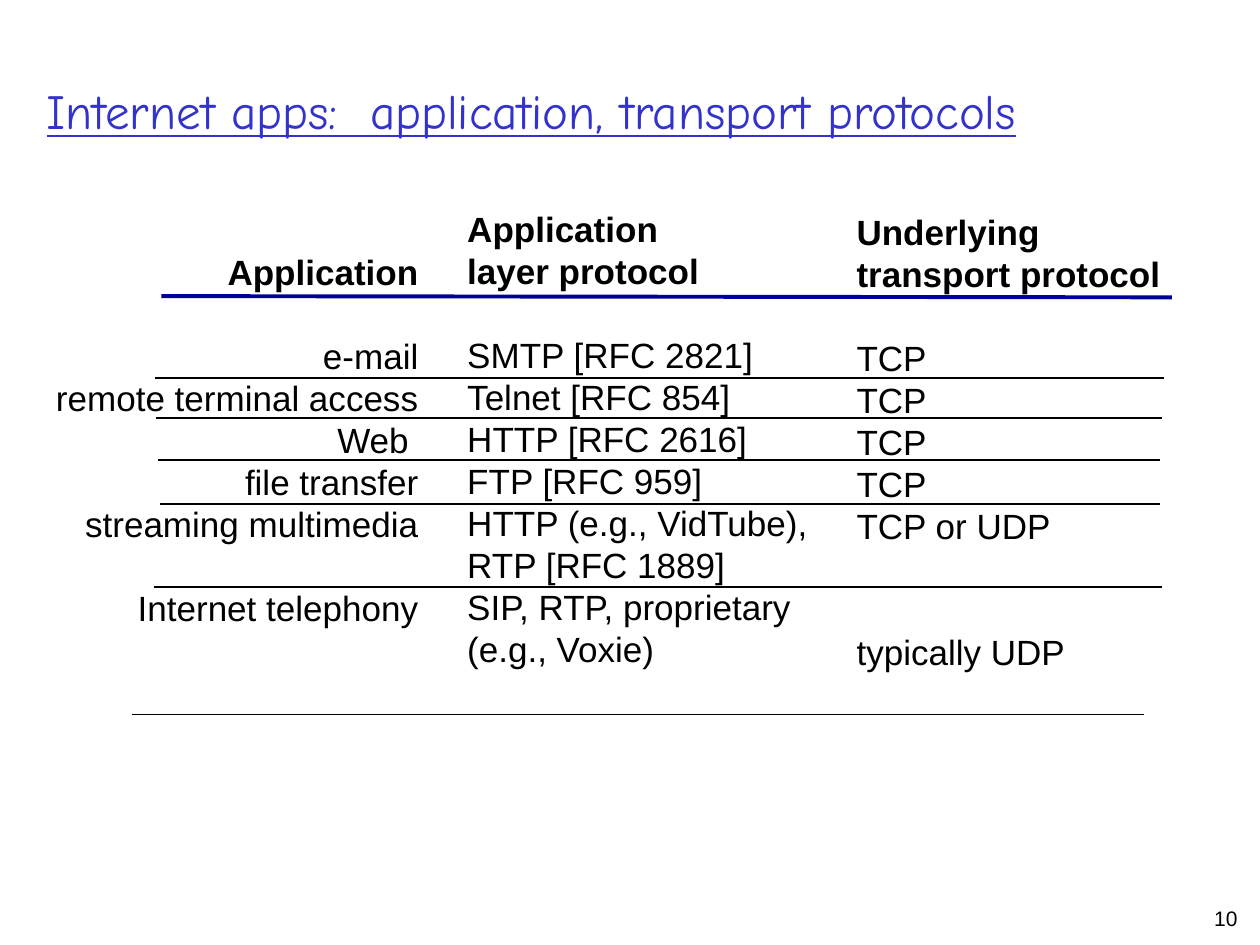
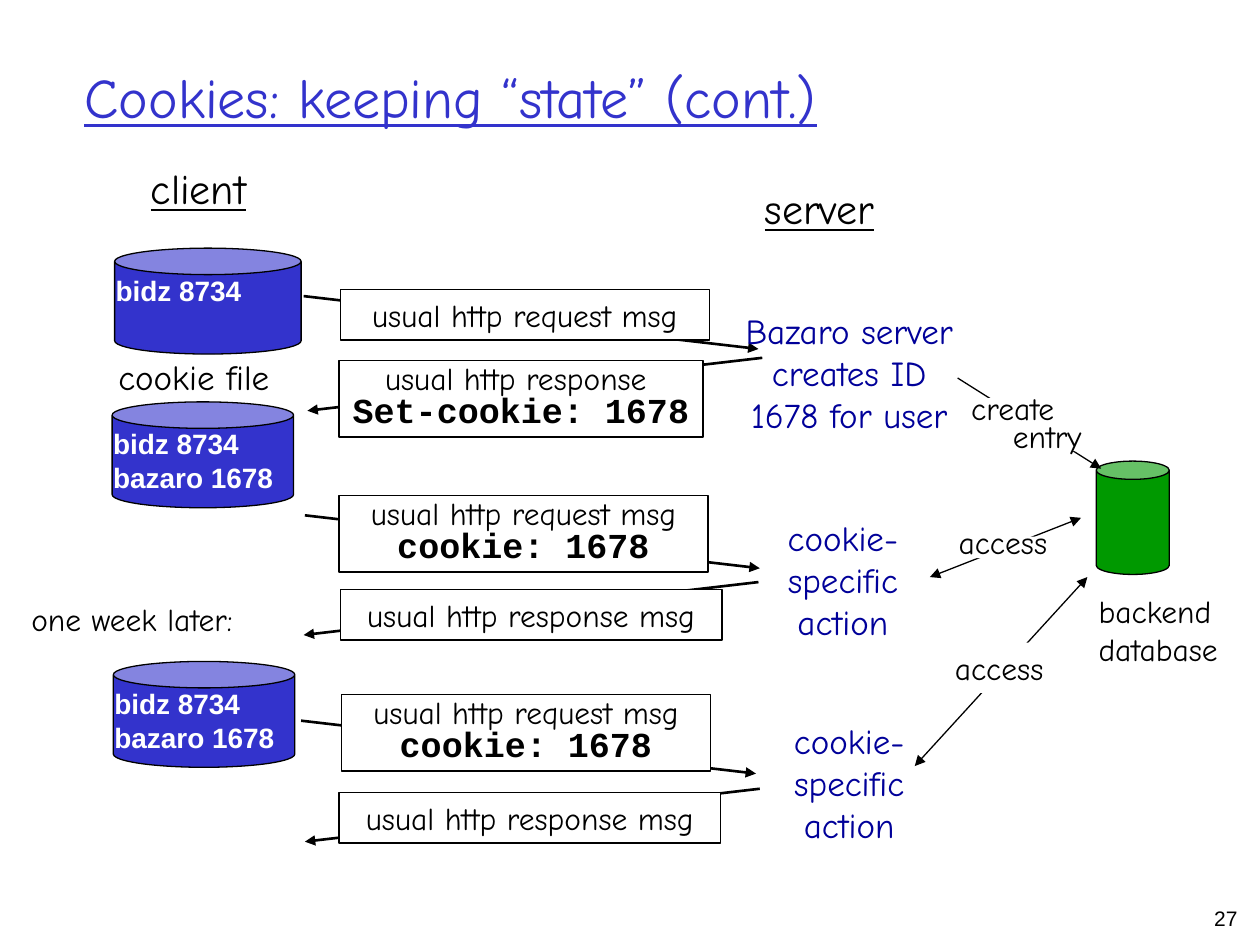
from collections import namedtuple
from dataclasses import dataclass

from lxml.etree import SubElement
from pptx import Presentation
from pptx.dml.color import RGBColor
from pptx.enum.shapes import MSO_CONNECTOR, MSO_SHAPE
from pptx.enum.text import MSO_ANCHOR, MSO_AUTO_SIZE, PP_ALIGN
from pptx.oxml.ns import qn
from pptx.util import Inches, Pt

Box = namedtuple("Box", "left top width height")
Line = namedtuple("Line", "text gap indent style", defaults=(0, 0, {}))


@dataclass(frozen=True)
class Theme:
    # Colours
    title: str = "3333CC"
    navy: str = "000099"
    green: str = "009900"
    black: str = "000000"
    white: str = "FFFFFF"
    # Fonts
    hand: str = "Comic Neue"
    sans: str = "Arial"
    mono: str = "Courier New"
    # Type sizes
    heading: int = 24
    body: int = 20
    note: int = 18
    jar: int = 16
    number: int = 12
    leading: float = 1.2


THEME = Theme()
BOLD = {"bold": True}
CODE = {"font": THEME.mono, "size": THEME.body, "bold": True}
LANE = (3.61, 0.42)  # span and drop of one message arrow


# Shared helpers

def place(box):
    return [Inches(length) for length in box]


def write(frame, lines, size=THEME.note, font=THEME.hand, color=THEME.black, bold=False,
          underline=False, align=PP_ALIGN.LEFT, spacing=1.0, wrap=True, anchor=MSO_ANCHOR.TOP):
    """Fill a frame; a line's gap counts empty lines above it."""
    frame.word_wrap = wrap
    frame.auto_size = MSO_AUTO_SIZE.NONE
    frame.vertical_anchor = anchor
    for index, line in enumerate(lines):
        line = Line(line) if isinstance(line, str) else line
        style = {"size": size, "font": font, "bold": bold, **line.style}
        height = style["size"] * THEME.leading
        para = frame.paragraphs[0] if index == 0 else frame.add_paragraph()
        para.alignment = align
        para.line_spacing = Pt(height * spacing)
        para.space_before = Pt(height * line.gap)
        if line.indent:
            para._p.get_or_add_pPr().set("marL", str(Inches(line.indent)))
        span = para.add_run()
        span.text = line.text
        span.font.size = Pt(style["size"])
        span.font.name = style["font"]
        span.font.bold = style["bold"]
        span.font.underline = underline
        span.font.color.rgb = RGBColor.from_string(color)


def add_text(slide, box, lines, **style):
    write(slide.shapes.add_textbox(*place(box)).text_frame, lines, **style)


def add_block(slide, box, kind=MSO_SHAPE.RECTANGLE, fill=THEME.white, outlined=True):
    block = slide.shapes.add_shape(kind, *place(box))
    block.shadow.inherit = False
    block.fill.solid()
    block.fill.fore_color.rgb = RGBColor.from_string(fill)
    if outlined:
        block.line.color.rgb = RGBColor.from_string(THEME.black)
        block.line.width = Pt(0.75)
    else:
        block.line.fill.background()
    return block


def add_line(slide, start, end, color=THEME.black, width=1.0, heads=()):
    line = slide.shapes.add_connector(MSO_CONNECTOR.STRAIGHT, *place(start + end))
    line.line.color.rgb = RGBColor.from_string(color)
    line.line.width = Pt(width)
    properties = line._element.spPr
    for head in heads:
        SubElement(properties.find(qn("a:ln")), qn(f"a:{head}"), type="triangle")
    SubElement(properties, qn("a:effectLst"))


def add_page(deck, title, box, size, number):
    page = deck.slides.add_slide(deck.slide_layouts[5])
    heading = page.shapes.title
    heading.left, heading.top, heading.width, heading.height = place(box)
    write(heading.text_frame, [title], size=size, color=THEME.title, underline=True,
          anchor=MSO_ANCHOR.MIDDLE)
    add_text(page, Box(8.33, 7.14, 1.59, 0.31), [number], size=THEME.number,
             font=THEME.sans, align=PP_ALIGN.RIGHT)
    return page


# Protocol slide

def build_protocols(deck):
    page = add_page(deck, "Internet apps:  application, transport protocols",
                    Box(0.27, 0.25, 9.57, 1.25), 28, "10")

    # Columns
    columns = [
        (Box(0.22, 1.94, 3.2, 3.44), PP_ALIGN.RIGHT, [
            Line("Application", style=BOLD), Line("e-mail", gap=1),
            "remote terminal access", "Web ", "file transfer", "streaming multimedia",
            Line("Internet telephony", gap=1)]),
        (Box(3.61, 1.6, 3.09, 3.77), PP_ALIGN.LEFT, [
            Line("Application", style=BOLD), Line("layer protocol", style=BOLD),
            Line("SMTP [RFC 2821]", gap=1), "Telnet [RFC 854]", "HTTP [RFC 2616]",
            "FTP [RFC 959]", "HTTP (e.g., VidTube), ", "RTP [RFC 1889]",
            "SIP, RTP, proprietary", "(e.g., Voxie)"]),
        (Box(6.7, 1.62, 2.87, 3.77), PP_ALIGN.LEFT, [
            Line("Underlying", style=BOLD), Line("transport protocol", style=BOLD),
            Line("TCP", gap=1), "TCP", "TCP", "TCP", "TCP or UDP",
            Line("typically UDP", gap=2)]),
    ]
    for box, align, lines in columns:
        add_text(page, box, lines, size=THEME.body, font=THEME.sans, align=align)

    # Rules under the header and the rows
    add_line(page, (1.28, 2.35), (9.3, 2.36), color=THEME.navy, width=2.25)
    for left, right, top in [(1.23, 9.24, 3), (1.24, 9.22, 3.32), (1.25, 9.21, 3.65),
                             (1.27, 9.21, 4), (1.22, 9.22, 4.66), (1.05, 9.08, 5.67)]:
        add_line(page, (left, top), (right, top))


# Cookie slide

def add_jar(slide, box, entries):
    """Cookie file: a can with its entries."""
    add_block(slide, box, MSO_SHAPE.CAN, THEME.title)
    add_text(slide, Box(box.left - 0.09, box.top + 0.15, 1.74, 0.64), entries,
             size=THEME.jar, font=THEME.sans, color=THEME.white, bold=True)


def add_message(slide, lane, card, lines, reply=False):
    """Sloping arrow across the lane, with a card placed relative to it."""
    left, right = lane.left, lane.left + lane.width
    start, end = (right, left) if reply else (left, right)
    add_line(slide, (start, lane.top), (end, lane.top + lane.height),
             width=1.5, heads=["tailEnd"])
    block = add_block(slide, Box(left + card.left, lane.top + card.top, card.width, card.height))
    write(block.text_frame, lines, align=PP_ALIGN.CENTER, spacing=0.8 if len(lines) > 1 else 1)


def add_access(slide, start, end, mask, box, lines, heads, **style):
    """Database arrow, broken by a white mask that carries a label."""
    add_line(slide, start, end, width=0.75, heads=heads)
    add_block(slide, mask, outlined=False)
    add_text(slide, box, lines, **style)


def build_cookies(deck):
    page = add_page(deck, "Cookies: keeping “state” (cont.)",
                    Box(0.57, 0.14, 8.5, 1.25), 32, "27")

    # Client and server headings
    for box, name in [(Box(1.1, 1.24, 0.95, 0.5), "client"),
                      (Box(5.97, 1.4, 1.07, 0.5), "server")]:
        add_text(page, box, [name], size=THEME.heading, underline=True,
                 align=PP_ALIGN.CENTER, wrap=False)

    # Messages: lane corner, card, lines, reply
    request, response = "usual http request msg", "usual http response msg"
    cookie = Line("cookie: 1678", style=CODE)
    set_cookie = Line("Set-cookie: 1678 ", style=CODE)
    messages = [
        (2.41, 2.35, Box(0.29, -0.05, 2.93, 0.4), [request], False),
        (2.44, 2.84, Box(0.25, 0.02, 2.89, 0.61), ["usual http response ", set_cookie], True),
        (2.42, 4.09, Box(0.27, -0.16, 2.93, 0.61), [request, cookie], False),
        (2.41, 4.62, Box(0.29, 0.06, 3.03, 0.4), [response], True),
        (2.39, 5.72, Box(0.32, -0.21, 2.93, 0.61), [request, cookie], False),
        (2.42, 6.26, Box(0.27, 0.03, 3.03, 0.4), [response], True),
    ]
    for left, top, card, lines, reply in messages:
        add_message(page, Box(left, top, *LANE), card, lines, reply)

    # Cookie files on the client
    entries = ["bidz 8734", "bazaro 1678"]
    add_jar(page, Box(0.91, 1.97, 1.48, 0.84), entries[:1])
    for left, top in [(0.89, 3.19), (0.9, 5.25)]:
        add_jar(page, Box(left, top, 1.44, 0.84), entries)
    add_text(page, Box(0.84, 2.77, 1.95, 0.44), ["cookie file"], size=THEME.body)
    add_text(page, Box(0.15, 4.71, 1.81, 0.4), ["one week later:"], wrap=False)

    # Server actions
    action = ["cookie-", "specific", "action"]
    for box, lines in [
            (Box(5.75, 2.41, 1.98, 1.1), ["Bazaro server", "creates ID", "1678 for user"]),
            (Box(6.15, 4.05, 1.08, 1.1), action),
            (Box(6.2, 5.66, 1.08, 1.1), action)]:
        add_text(page, box, lines, size=THEME.body, color=THEME.navy,
                 align=PP_ALIGN.CENTER, wrap=False)

    # Backend database and the arrows to it
    add_block(page, Box(8.7, 3.66, 0.58, 0.9), MSO_SHAPE.CAN, THEME.green)
    add_text(page, Box(8.62, 4.65, 1.15, 0.7), ["backend", "database"], wrap=False)
    add_access(page, (7.6, 3), (8.74, 3.72), Box(7.76, 3.16, 1.05, 0.42),
               Box(7.61, 3.11, 1.28, 0.55), ["create", Line("entry", indent=0.33)],
               ["tailEnd"], spacing=0.75)
    both = ["headEnd", "tailEnd"]
    add_access(page, (7.38, 4.58), (8.58, 4.11), Box(7.65, 4.26, 0.67, 0.17),
               Box(7.51, 4.1, 0.9, 0.4), ["access"], both, wrap=False)
    label = Box(7.48, 5.1, 0.9, 0.4)
    add_access(page, (7.26, 6.08), (8.63, 4.58), label, label, ["access"], both, wrap=False)


def main():
    deck = Presentation()
    deck.slide_width, deck.slide_height = Inches(10), Inches(7.5)
    build_protocols(deck)
    build_cookies(deck)
    deck.save("out.pptx")


if __name__ == "__main__":
    main()
